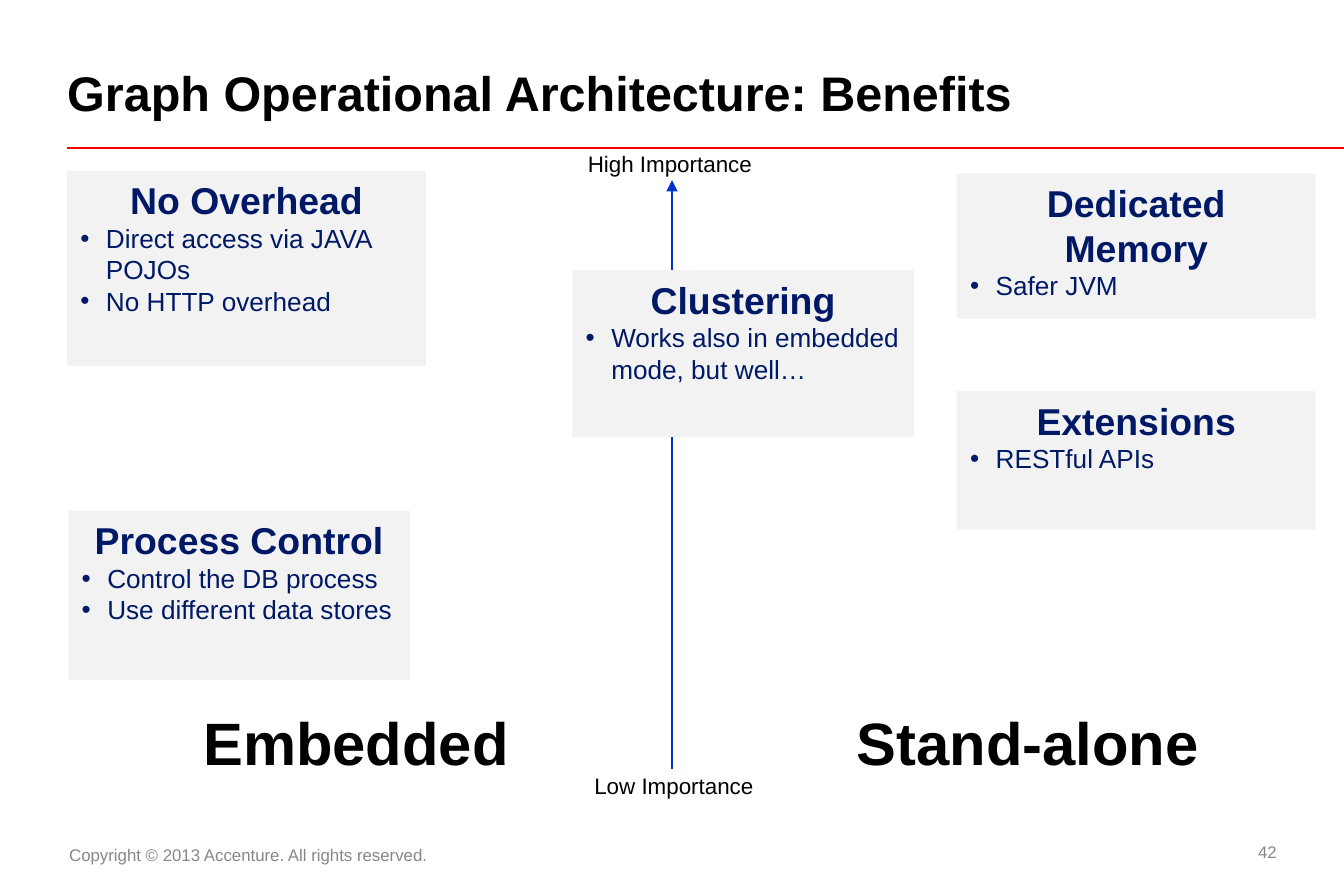
import pptx
import pptx.dml.color
import pptx.enum.shapes
import pptx.enum.text
import pptx.oxml
import pptx.oxml.ns
import pptx.util
from pptx.util import Inches

RGBColor = pptx.dml.color.RGBColor
ALIGN = pptx.enum.text.PP_ALIGN
ANCHOR = pptx.enum.text.MSO_ANCHOR

BLACK = RGBColor(0x00, 0x00, 0x00)
NAVY = RGBColor(0x00, 0x19, 0x66)
BLUE = RGBColor(0x00, 0x32, 0xC8)
RED = RGBColor(0xFF, 0x00, 0x00)
GREY = RGBColor(0x85, 0x87, 0x89)
PANEL = RGBColor(0xF2, 0xF2, 0xF2)

FONT = "Arial"
BULLET_INDENT = Inches(0.19)

# Heading, bullets, (left, top, width, height)
BENEFITS = [
    ("Process Control", ["Control the DB process", "Use different data stores"],
     (0.51, 3.8, 2.54, 1.26)),
    ("Clustering", ["Works also in embedded mode, but well…"],
     (4.26, 2.01, 2.54, 1.24)),
    ("Dedicated Memory", ["Safer JVM"], (7.12, 1.29, 2.67, 1.08)),
    ("No Overhead", ["Direct access via JAVA POJOs", "No HTTP overhead"],
     (0.5, 1.27, 2.67, 1.45)),
    ("Extensions", ["RESTful APIs"], (7.12, 2.91, 2.67, 1.03)),
]


def add_element(parent, tag, **attributes):
    element = pptx.oxml.parse_xml(f"<{tag} {pptx.oxml.ns.nsdecls('a')}/>")
    for name, value in attributes.items():
        element.set(name, str(value))
    parent.append(element)


def write(paragraph, text, size, color, bold=False, align=ALIGN.LEFT):
    paragraph.alignment = align
    run = paragraph.add_run()
    run.text = text
    run.font.name = FONT
    run.font.size = pptx.util.Pt(size)
    run.font.bold = bold
    run.font.color.rgb = color


def set_margins(frame, left, top, right, bottom):
    frame.margin_left, frame.margin_top = Inches(left), Inches(top)
    frame.margin_right, frame.margin_bottom = Inches(right), Inches(bottom)


def add_title(slide, text):
    title = slide.shapes.title
    title.left, title.top = Inches(0.5), Inches(0.16)
    title.width, title.height = Inches(8.97), Inches(0.74)
    frame = title.text_frame
    frame.auto_size = pptx.enum.text.MSO_AUTO_SIZE.NONE
    frame.vertical_anchor = ANCHOR.BOTTOM
    set_margins(frame, 0, 0, 0, 0)
    frame.paragraphs[0].line_spacing = pptx.util.Pt(26)
    write(frame.paragraphs[0], text, 26, BLACK, bold=True)


def add_label(slide, text, box, size, color=BLACK, bold=False, align=ALIGN.CENTER):
    label = slide.shapes.add_textbox(*map(Inches, box))
    label.text_frame.word_wrap = True
    write(label.text_frame.paragraphs[0], text, size, color, bold, align)
    return label.text_frame


def add_line(slide, start, end, color, width):
    line = slide.shapes.add_connector(
        pptx.enum.shapes.MSO_CONNECTOR.STRAIGHT, *map(Inches, start + end))
    line.line.color.rgb = color
    line.line.width = pptx.util.Pt(width)
    add_element(line._element.spPr, "a:effectLst")
    return line


def add_benefit(slide, heading, bullets, box):
    panel = slide.shapes.add_shape(
        pptx.enum.shapes.MSO_SHAPE.RECTANGLE, *map(Inches, box))
    panel.shadow.inherit = False
    panel.fill.solid()
    panel.fill.fore_color.rgb = PANEL
    panel.line.fill.background()
    frame = panel.text_frame
    frame.word_wrap = True
    frame.vertical_anchor = ANCHOR.TOP
    write(frame.paragraphs[0], heading, 20, NAVY, bold=True, align=ALIGN.CENTER)
    for bullet in bullets:
        paragraph = frame.add_paragraph()
        properties = paragraph._p.get_or_add_pPr()
        properties.set("marL", str(BULLET_INDENT))
        properties.set("indent", str(-BULLET_INDENT))
        add_element(properties, "a:buFont", typeface=FONT)
        add_element(properties, "a:buChar", char="•")
        write(paragraph, bullet, 14, NAVY)


def main():
    deck = pptx.Presentation()
    deck.slide_width, deck.slide_height = Inches(10), Inches(6.5)
    slide = deck.slides.add_slide(deck.slide_layouts[5])

    # Title, rule and footer
    add_line(slide, (0.5, 1.1), (10, 1.1), RED, 1)
    copyright_line = add_label(
        slide, "Copyright © 2013 Accenture. All rights reserved.",
        (0.49, 6.23, 2.81, 0.25), 9, GREY)
    set_margins(copyright_line, 0, 0.05, 0.1, 0.05)
    page_number = add_label(slide, "42", (8.91, 6.22, 0.59, 0.23), 9, GREY,
                            align=ALIGN.RIGHT)
    set_margins(page_number, 0, 0, 0, 0)
    page_number.vertical_anchor = ANCHOR.MIDDLE
    add_title(slide, "Graph Operational Architecture: Benefits")

    # Importance axis, pointing up
    axis = add_line(slide, (5, 5.72), (5, 1.34), BLUE, 0.75)
    add_element(axis.line._get_or_add_ln(), "a:tailEnd", type="triangle")
    add_label(slide, "High Importance", (4.23, 1.07, 1.51, 0.3), 12)
    add_label(slide, "Low Importance", (4.26, 5.69, 1.51, 0.3), 12)

    # Deployment modes on either side of the axis
    for mode, left in (("Embedded", 1.15), ("Stand-alone", 6.15)):
        add_label(slide, mode, (left, 5.2, 3, 0.64), 32, bold=True)

    # Benefit panels
    for heading, bullets, box in BENEFITS:
        add_benefit(slide, heading, bullets, box)

    deck.save("out.pptx")


if __name__ == "__main__":
    main()
